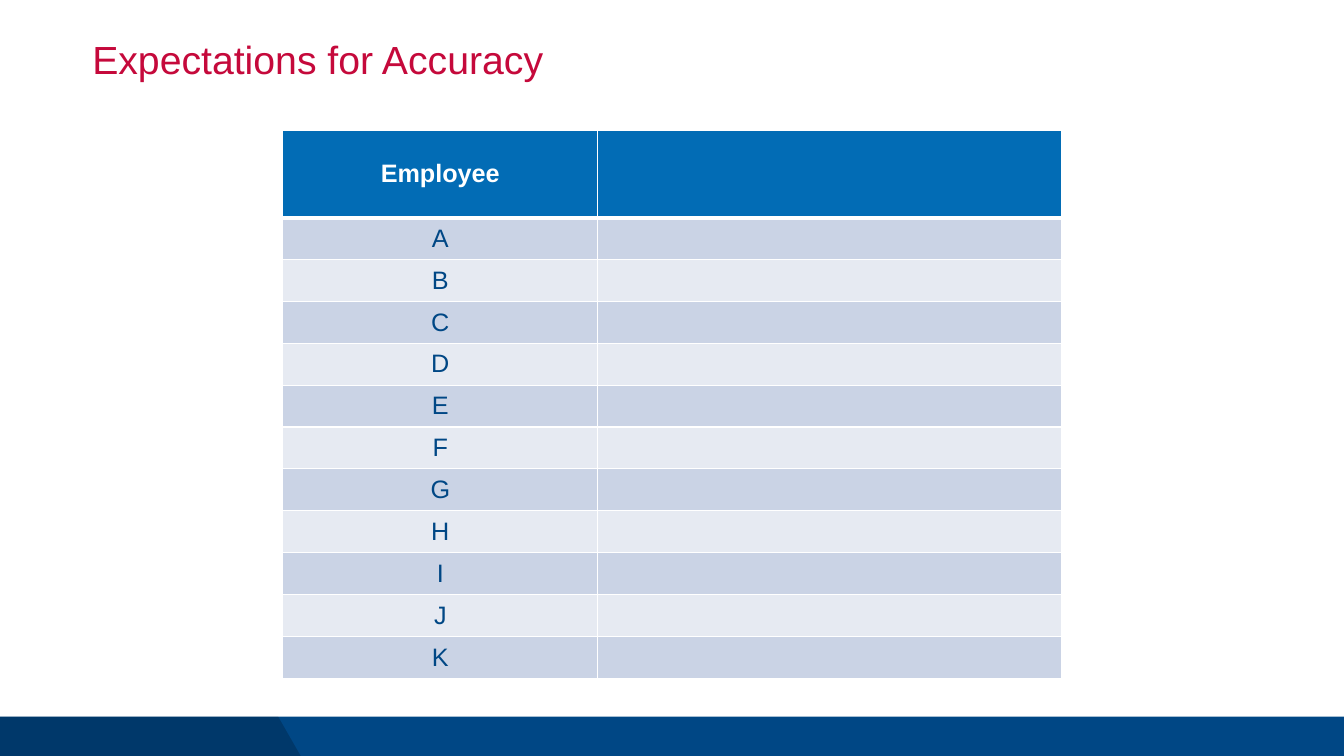
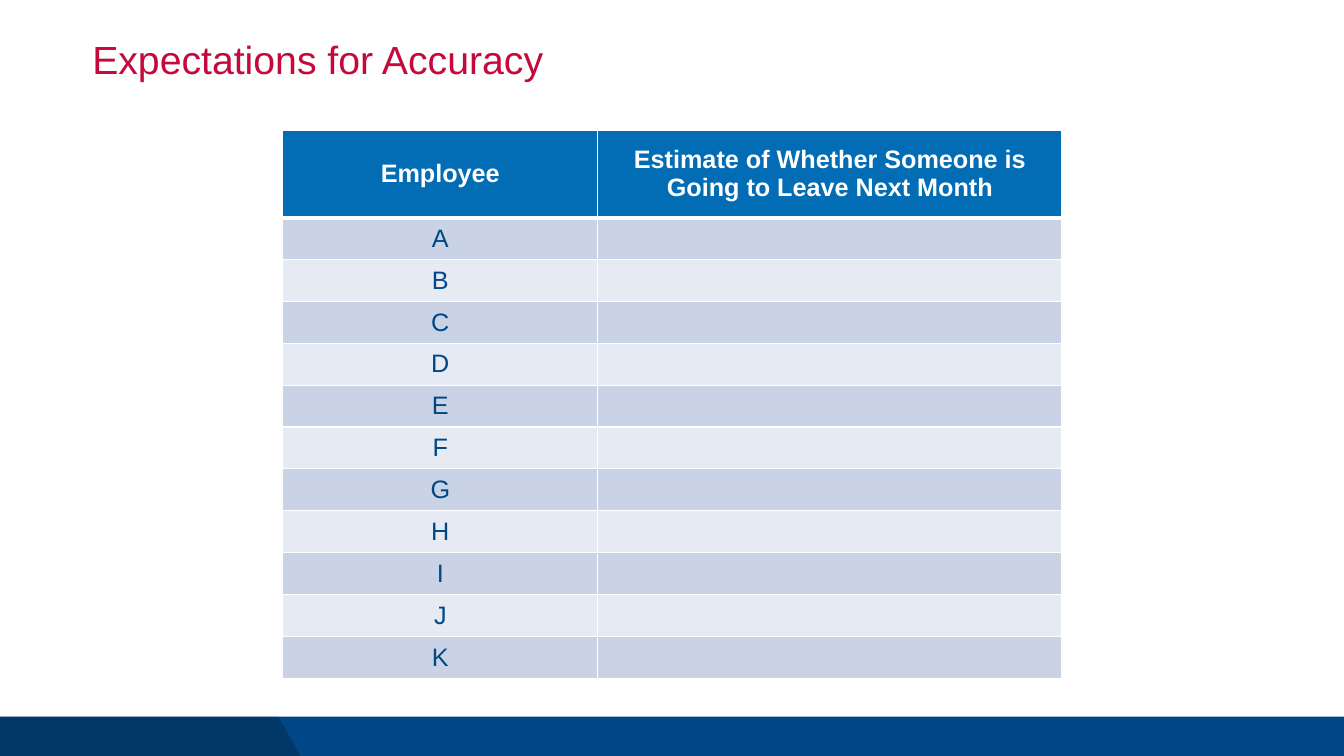
from lxml import etree
from pptx import Presentation
from pptx import util as u
from pptx.dml import color
from pptx.enum import shapes, text
from pptx.oxml import ns

NAVY, RED, BLUE, WHITE, BLACK = "004785", "C5093B", "026CB5", "FFFFFF", "000000"
STRIPES = ("CAD3E5", "E6EAF2")
WIDTH, HEIGHT = 67.73, 38.1
BAND_TOP, BAND_HEIGHT = 36.12, 2.13
NO_MARGINS = {f"margin_{side}": 0 for side in ("left", "top", "right", "bottom")}
EMPLOYEES = "ABCDEFGHIJK"
ESTIMATE = "Estimate of Whether Someone is Going to Leave Next Month"


def rgb(value):
    """Turn a hex string into a colour."""
    return color.RGBColor.from_string(value)


def assign(target, values):
    """Set each named attribute on the target."""
    for name, value in values.items():
        setattr(target, name, value)


class Deck:
    """Holds the style, the presentation and the current page."""

    def __init__(self):
        """Start a presentation of the right size."""
        self.deck = Presentation()
        assign(self.deck, {"slide_width": u.Cm(WIDTH), "slide_height": u.Cm(HEIGHT)})
        self.page = None

    def add_page(self, heading):
        """Add a page with its footer band and title."""
        self.page = self.deck.slides.add_slide(self.deck.slide_layouts[6])
        self.add_footer()
        self.add_title(heading)

    def paint(self, shape, fill):
        """Give a shape a plain fill without line or shadow."""
        shape.shadow.inherit = False
        shape.fill.solid()
        shape.fill.fore_color.rgb = rgb(fill)
        shape.line.fill.background()

    def add_footer(self):
        """Draw the band and its darker slanted end."""
        bounds = map(u.Cm, (0, BAND_TOP, WIDTH, BAND_HEIGHT))
        band = self.page.shapes.add_shape(shapes.MSO_SHAPE.RECTANGLE, *bounds)
        self.paint(band, NAVY)
        bottom = BAND_TOP + BAND_HEIGHT
        corners = [(14.02, BAND_TOP), (15.24, bottom), (0, bottom)]
        outline = self.page.shapes.build_freeform(0, u.Cm(BAND_TOP))
        outline.add_line_segments([(u.Cm(x), u.Cm(y)) for x, y in corners])
        shade = outline.convert_to_shape()
        self.paint(shade, BLACK)
        tint = shade.element.spPr.find(ns.qn("a:solidFill"))[0]
        etree.SubElement(tint, ns.qn("a:alpha"), val="20000")

    def add_span(self, para, words, size, ink, bold=False):
        """Add a styled span to a paragraph."""
        span = para.add_run()
        span.text = words
        assign(span.font, {"name": "Arial", "size": u.Pt(size), "bold": bold})
        span.font.color.rgb = rgb(ink)

    def add_title(self, words):
        """Place the page title."""
        box = self.page.shapes.add_textbox(*map(u.Cm, (4.65, 2.03, 58.42, 2.67)))
        assign(box.text_frame, {"word_wrap": True, **NO_MARGINS})
        para = box.text_frame.paragraphs[0]
        para.line_spacing = 0.9
        self.add_span(para, words, 56, RED)

    def add_borders(self, cell, top, bottom):
        """Draw white borders around a cell."""
        props = cell._tc.get_or_add_tcPr()
        for side, points in {"L": 2, "R": 2, "T": top, "B": bottom}.items():
            line = etree.SubElement(props, ns.qn(f"a:ln{side}"), w=str(u.Pt(points)))
            fill = etree.SubElement(line, ns.qn("a:solidFill"))
            etree.SubElement(fill, ns.qn("a:srgbClr"), val=WHITE)

    def fill_cell(self, cell, words, row):
        """Style and fill one table cell according to its row."""
        header = row == 0
        assign(cell, {"vertical_anchor": text.MSO_ANCHOR.MIDDLE, **NO_MARGINS})
        self.add_borders(cell, 6 if row == 1 else 2, 6 if header else 2)
        cell.fill.solid()
        cell.fill.fore_color.rgb = rgb(BLUE if header else STRIPES[(row - 1) % 2])
        if words:
            para = cell.text_frame.paragraphs[0]
            para.alignment = text.PP_ALIGN.CENTER
            self.add_span(para, words, 36, WHITE if header else NAVY, header)

    def add_table(self, rows):
        """Add the employee table with a tall header row."""
        widths = (15.88, 23.39)
        heights = [4.39] + [2.11] * (len(rows) - 1)
        bounds = map(u.Cm, (14.25, 6.58, sum(widths), sum(heights)))
        table = self.page.shapes.add_table(len(rows), len(widths), *bounds).table
        for column, width in zip(table.columns, widths):
            column.width = u.Cm(width)
        for index, (row, height) in enumerate(zip(table.rows, heights)):
            row.height = u.Cm(height)
            for cell, words in zip(row.cells, rows[index]):
                self.fill_cell(cell, words, index)


def main():
    """Build both pages and save them."""
    slides = Deck()
    for estimate in ("", ESTIMATE):
        slides.add_page("Expectations for Accuracy")
        slides.add_table([("Employee", estimate)] + [(name, "") for name in EMPLOYEES])
    slides.deck.save("out.pptx")


if __name__ == "__main__":
    main()
